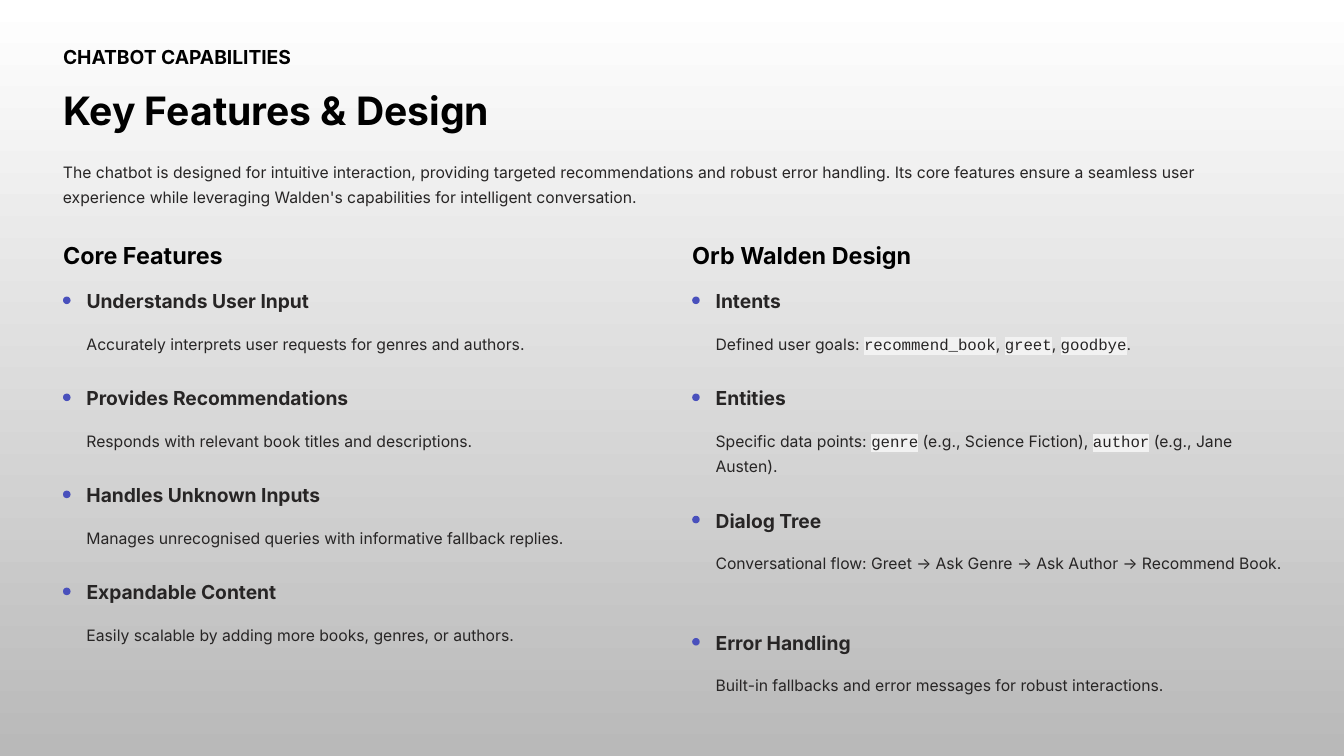
from lxml.etree import SubElement
from pptx import Presentation
from pptx.dml.color import RGBColor
from pptx.enum.shapes import MSO_SHAPE
from pptx.enum.text import MSO_ANCHOR, MSO_AUTO_SIZE, PP_ALIGN
from pptx.oxml.ns import qn
from pptx.util import Inches, Pt

COLORS = {"black": "000000", "body": "272525", "bullet": "4950BC",
          "code": "F2F2F2", "top": "FFFFFF", "bottom": "B9B9B9"}
LABEL = (16.5, 21, True)
TITLE = (33.5, 42, True)
HEADING = (20, 25, True)
BODY = (13.5, 21.5, False)
LINE = 0.3

CORE_FEATURES = [
    ("Understands User Input", 2.72, 1,
     "Accurately interprets user requests for genres and authors."),
    ("Provides Recommendations", 3.2, 1,
     "Responds with relevant book titles and descriptions."),
    ("Handles Unknown Inputs", 2.86, 1,
     "Manages unrecognised queries with informative fallback replies."),
    ("Expandable Content", 2.35, 1,
     "Easily scalable by adding more books, genres, or authors."),
]
ASSISTANT_DESIGN = [
    ("Intents", 2.35, 1, "Defined user goals: `recommend_book`, `greet`, `goodbye`."),
    ("Entities", 2.35, 2,
     "Specific data points: `genre` (e.g., Science Fiction), `author` (e.g., Jane Austen)."),
    ("Dialog Tree", 2.35, 2,
     "Conversational flow: Greet → Ask Genre → Ask Author → Recommend Book."),
    ("Error Handling", 2.35, 1,
     "Built-in fallbacks and error messages for robust interactions."),
]


def rgb(name):
    """Return the named colour."""
    return RGBColor.from_string(COLORS[name])


def write_text(shape, text, style, color, wrap=False):
    """Fill a shape with one paragraph, setting backticked words as code."""
    size, spacing, bold = style
    frame = shape.text_frame
    frame.margin_left = frame.margin_top = frame.margin_right = frame.margin_bottom = 0
    frame.word_wrap = wrap
    frame.auto_size = MSO_AUTO_SIZE.NONE
    frame.vertical_anchor = MSO_ANCHOR.TOP
    paragraph = frame.paragraphs[0]
    paragraph.alignment = PP_ALIGN.LEFT
    paragraph.line_spacing = Pt(spacing)
    paragraph.font.name = "Inter"
    paragraph.font.size = Pt(size)
    paragraph.font.bold = bold
    paragraph.font.color.rgb = rgb(color)
    for index, part in enumerate(text.split("`")):
        run = paragraph.add_run()
        run.text = part
        if index % 2:
            highlight = SubElement(run._r.get_or_add_rPr(), qn("a:highlight"))
            SubElement(highlight, qn("a:srgbClr"), val=COLORS["code"])
            run.font.name = "Courier New"


def add_text(slide, left, top, width, height, text, style, color, wrap=False):
    """Add a text box."""
    box = slide.shapes.add_textbox(Inches(left), Inches(top), Inches(width), Inches(height))
    write_text(box, text, style, color, wrap)


def add_header(slide, left, top, width):
    """Place the label, the title and the introduction."""
    add_text(slide, left, top, 2.79, 0.29, "CHATBOT CAPABILITIES", LABEL, "black")
    title = slide.shapes.title
    title.left, title.top = Inches(left), Inches(top + 0.48)
    title.width, title.height = Inches(5.12), Inches(0.59)
    write_text(title, "Key Features & Design", TITLE, "black")
    add_text(slide, left, top + 1.34, width, 2 * LINE,
             "The chatbot is designed for intuitive interaction, providing targeted "
             "recommendations and robust error handling. Its core features ensure a "
             "seamless user experience while leveraging Walden's capabilities for "
             "intelligent conversation.", BODY, "body", wrap=True)


def add_feature(slide, left, top, width, name, name_width, lines, description):
    """Place a bullet with its name and description."""
    bullet = slide.shapes.add_shape(MSO_SHAPE.ROUNDED_RECTANGLE, Inches(left),
                                    Inches(top + 0.1), Inches(0.09), Inches(0.09))
    bullet.adjustments[0] = 0.5
    bullet.shadow.inherit = False
    bullet.fill.solid()
    bullet.fill.fore_color.rgb = rgb("bullet")
    bullet.line.fill.background()
    indent = 0.28
    add_text(slide, left + indent, top, name_width, 0.29, name, LABEL, "body")
    add_text(slide, left + indent, top + 0.48, width - indent, lines * LINE,
             description, BODY, "body", wrap=lines > 1)


def add_column(slide, left, top, width, heading, features):
    """Place a heading above a stack of features."""
    add_text(slide, left, top, 2.81, 0.35, heading, HEADING, "black")
    feature_top = top + 0.57
    for name, name_width, lines, description in features:
        add_feature(slide, left, feature_top, width, name, name_width, lines, description)
        feature_top += 0.855 + lines * LINE


def add_background(slide):
    """Fill the slide with a gradient running downwards."""
    fill = slide.background.fill
    fill.gradient()
    fill.gradient_angle = 270
    for stop, name in zip(fill.gradient_stops, ("top", "bottom")):
        stop.color.rgb = rgb(name)


def main():
    """Build and save the slide."""
    presentation = Presentation()
    presentation.slide_width, presentation.slide_height = Inches(16), Inches(9)
    slide = presentation.slides.add_slide(presentation.slide_layouts[5])
    add_background(slide)
    add_header(slide, 0.75, 0.52, 14.5)
    add_column(slide, 0.75, 2.86, 7.02, "Core Features", CORE_FEATURES)
    add_column(slide, 8.24, 2.86, 7.02, "Orb Walden Design", ASSISTANT_DESIGN)
    presentation.save("out.pptx")


if __name__ == "__main__":
    main()
